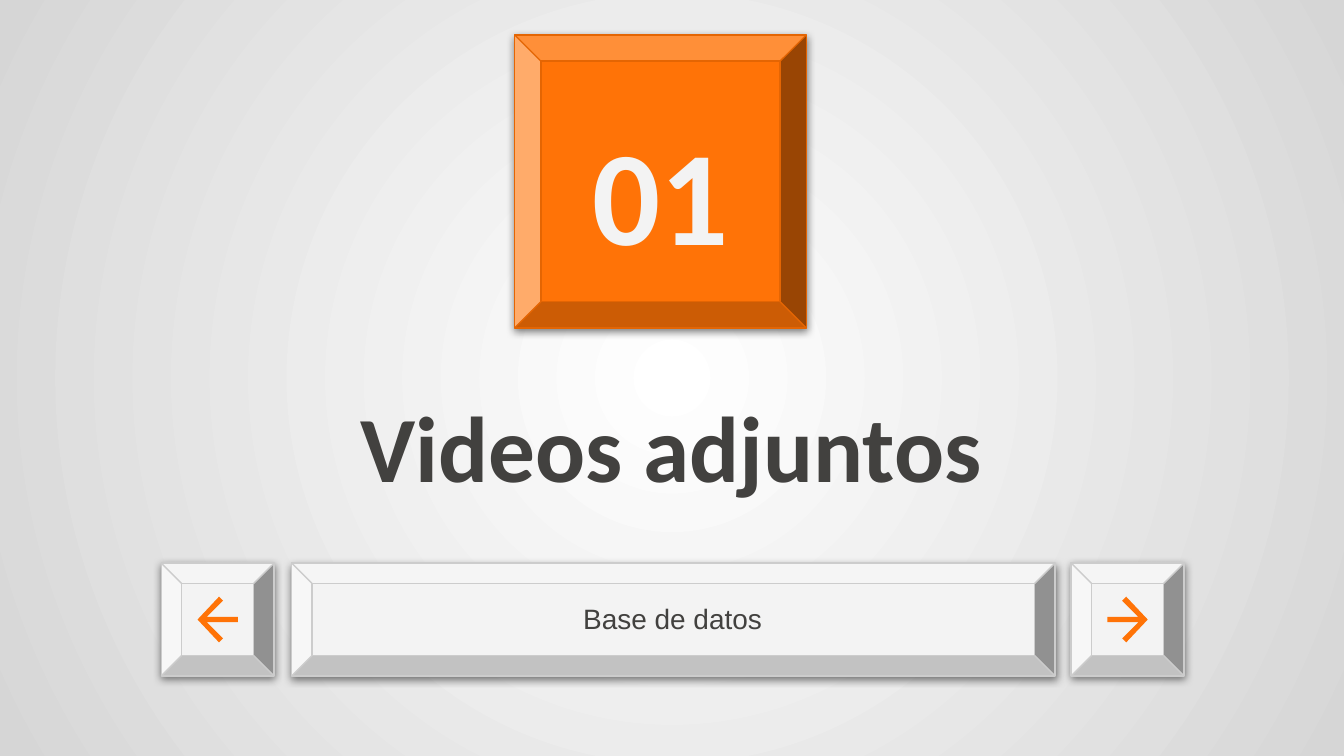
from dataclasses import dataclass

from pptx import Presentation
from pptx.dml.color import RGBColor
from pptx.enum.shapes import MSO_SHAPE
from pptx.enum.text import MSO_ANCHOR, MSO_AUTO_SIZE, PP_ALIGN
from pptx.oxml import parse_xml
from pptx.oxml.ns import nsdecls
from pptx.util import Inches, Pt


@dataclass(frozen=True)
class Theme:
    orange: str = "FF7307"
    orange_edge: str = "E46503"
    key: str = "F3F3F3"
    key_edge: str = "CCCCCC"
    ink: str = "42413F"
    center: str = "FFFFFF"
    rim: str = "D6D6D6"
    heading: str = "Calibri"
    body: str = "Arial"
    number_size: int = 72
    title_size: int = 50
    subtitle_size: int = 15


THEME = Theme()

# Content: boxes are left, top, width, height in inches
NUMBER = ("01", (4.05, 0.69, 1.73, 1.48))
TITLE = ("Videos adjuntos", (2.57, 2.66, 4.85, 1.31))
SUBTITLE = ("Base de datos", (2.58, 4.36, 4.85, 0.48))
NUMBER_TILE = (3.83, 0.26, 2.17, 2.18)
KEY_TOP, KEY_SIZE = 4.19, 0.84
BAR = (2.17, KEY_TOP, 5.68, KEY_SIZE)
TILE_DEPTH, KEY_DEPTH = 0.09, 0.18
ARROW_KEYS = [(7.97, False), (1.2, True)]  # left edge, points left
ARROW = [(0.41, 0.25), (0.38, 0.28), (0.5, 0.4), (0.27, 0.4), (0.27, 0.44),
         (0.5, 0.44), (0.38, 0.56), (0.41, 0.59), (0.57, 0.42)]


def color(code):
    return RGBColor.from_string(code)


def set_background(slide):
    slide.element.cSld.insert(0, parse_xml(
        f'<p:bg {nsdecls("p", "a")}><p:bgPr><a:gradFill><a:gsLst>'
        f'<a:gs pos="0"><a:srgbClr val="{THEME.center}"/></a:gs>'
        f'<a:gs pos="100000"><a:srgbClr val="{THEME.rim}"/></a:gs>'
        '</a:gsLst><a:path path="circle">'
        '<a:fillToRect l="50000" t="50000" r="50000" b="50000"/></a:path>'
        '</a:gradFill><a:effectLst/></p:bgPr></p:bg>'))


def add_bevel(slide, box, depth, fill=THEME.key, edge=THEME.key_edge):
    shape = slide.shapes.add_shape(MSO_SHAPE.BEVEL, *map(Inches, box))
    shape.adjustments[0] = depth
    shape.fill.solid()
    shape.fill.fore_color.rgb = color(fill)
    shape.line.color.rgb = color(edge)
    shape.line.width = Pt(0.75)
    shape.element.spPr.append(parse_xml(
        f'<a:effectLst {nsdecls("a")}><a:outerShdw blurRad="{Pt(4.5)}" '
        f'dist="{Pt(1.5)}" dir="5400000" algn="bl" rotWithShape="0">'
        '<a:srgbClr val="000000"><a:alpha val="50000"/></a:srgbClr>'
        '</a:outerShdw></a:effectLst>'))


def add_arrow(slide, key_left, points_left):
    points = [(Inches(key_left + (KEY_SIZE - x if points_left else x)),
               Inches(KEY_TOP + y)) for x, y in ARROW]
    builder = slide.shapes.build_freeform(*points[0])
    builder.add_line_segments(points[1:], close=True)
    arrow = builder.convert_to_shape()
    arrow.shadow.inherit = False
    arrow.fill.solid()
    arrow.fill.fore_color.rgb = color(THEME.orange)
    arrow.line.fill.background()


def write_text(shape, text, box, font, size, ink, bold=False):
    shape.left, shape.top, shape.width, shape.height = map(Inches, box)
    frame = shape.text_frame
    frame.word_wrap = True
    frame.auto_size = MSO_AUTO_SIZE.NONE
    frame.vertical_anchor = MSO_ANCHOR.MIDDLE
    frame.margin_left = frame.margin_right = Inches(0.1)
    frame.margin_top = frame.margin_bottom = Inches(0.1)
    para = frame.paragraphs[0]
    para.alignment = PP_ALIGN.CENTER
    para.space_before = Pt(0)
    span = para.add_run()
    span.text = text
    span.font.name = font
    span.font.size = Pt(size)
    span.font.bold = bold
    span.font.color.rgb = color(ink)


def main():
    # Widescreen 16:9 deck
    deck = Presentation()
    deck.slide_width = Inches(10)
    deck.slide_height = deck.slide_width * 9 // 16
    slide = deck.slides.add_slide(deck.slide_layouts[0])
    title, subtitle = slide.placeholders
    set_background(slide)

    # Number tile and subtitle bar
    add_bevel(slide, NUMBER_TILE, TILE_DEPTH, THEME.orange, THEME.orange_edge)
    add_bevel(slide, BAR, KEY_DEPTH)

    # Text, brought in front of the tiles
    for holder in (title, subtitle):
        holder.element.getparent().append(holder.element)
    write_text(title, *TITLE, font=THEME.heading, size=THEME.title_size,
               ink=THEME.ink, bold=True)
    write_text(subtitle, *SUBTITLE, font=THEME.body,
               size=THEME.subtitle_size, ink=THEME.ink)
    number = slide.shapes.add_textbox(*map(Inches, NUMBER[1]))
    write_text(number, *NUMBER, font=THEME.heading, size=THEME.number_size,
               ink=THEME.key, bold=True)

    # Arrow keys
    for left, points_left in ARROW_KEYS:
        add_bevel(slide, (left, KEY_TOP, KEY_SIZE, KEY_SIZE), KEY_DEPTH)
        add_arrow(slide, left, points_left)

    deck.save("out.pptx")


if __name__ == "__main__":
    main()
